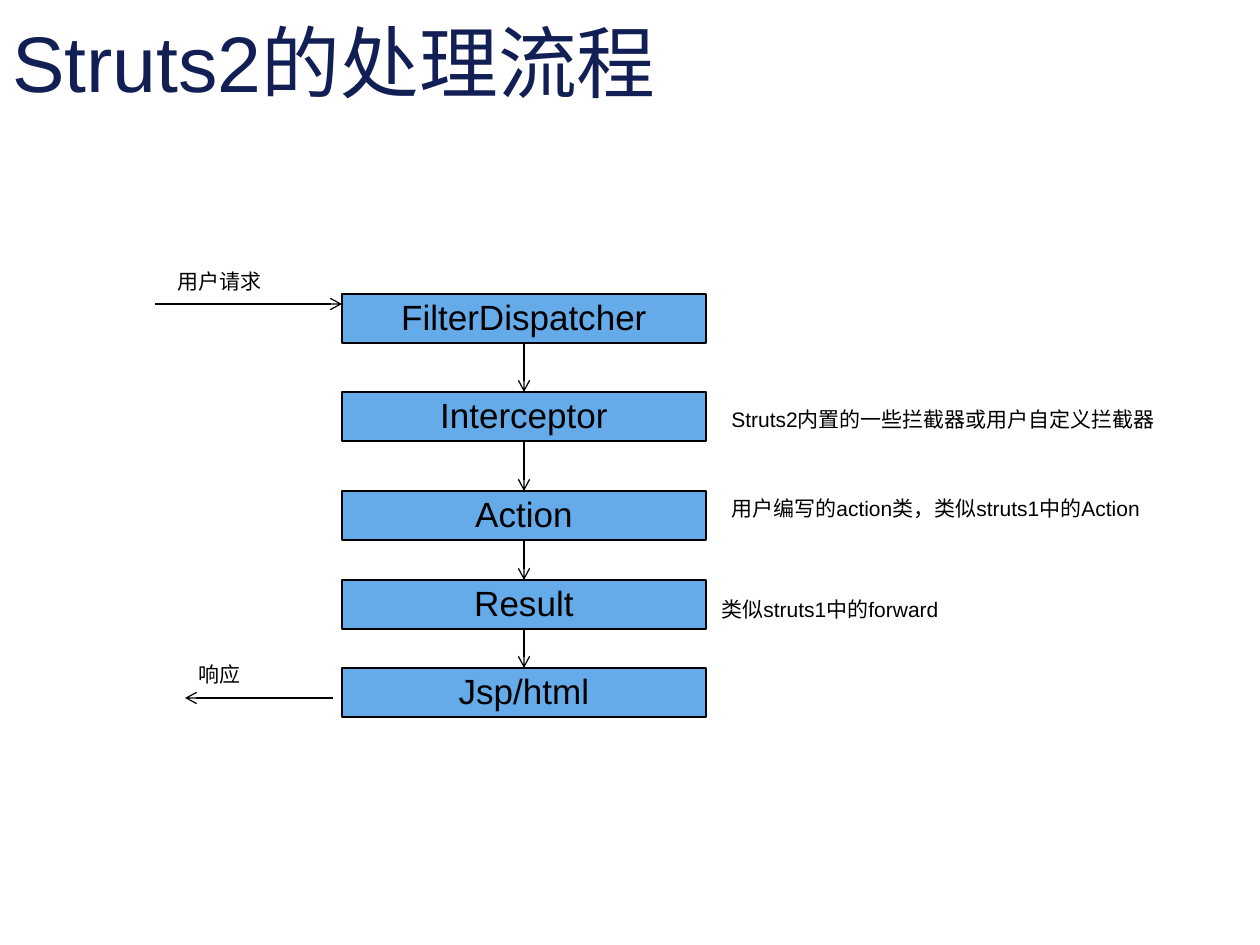
from lxml.etree import SubElement
from pptx import Presentation
from pptx.dml.color import RGBColor
from pptx.enum.shapes import MSO_CONNECTOR, MSO_SHAPE
from pptx.enum.text import MSO_ANCHOR, MSO_AUTO_SIZE, PP_ALIGN
from pptx.oxml.ns import qn
from pptx.util import Emu, Pt

PX = 914400 / 126
BLACK, NAVY, BLUE = "000000", "121F55", "65AAE9"


def px(*lengths):
    return [Emu(round(n * PX)) for n in lengths]


def write(sp, text, size, color=BLACK, align=PP_ALIGN.LEFT, anchor=MSO_ANCHOR.TOP, spacing=0.9, wrap=True):
    tf = sp.text_frame
    tf.word_wrap = wrap
    tf.vertical_anchor = anchor
    p = tf.paragraphs[0]
    p.text = text
    p.alignment = align
    p.line_spacing = spacing
    p.font.size = Pt(size)
    p.font.name = "Arial"
    p.font.color.rgb = RGBColor.from_string(color)


prs = Presentation()
prs.slide_width, prs.slide_height = px(1260, 945)
s = prs.slides.add_slide(prs.slide_layouts[6])

title = s.shapes.add_textbox(*px(0, 15, 1260, 100))
write(title, "Struts2的处理流程", 45, NAVY, anchor=MSO_ANCHOR.BOTTOM, spacing=1.0)

# Processing steps, top to bottom
steps = [("FilterDispatcher", 294), ("Interceptor", 392), ("Action", 491),
         ("Result", 580), ("Jsp/html", 668)]
boxes = []
for name, top in steps:
    sp = s.shapes.add_shape(MSO_SHAPE.RECTANGLE, *px(342, top, 364, 49))
    sp.shadow.inherit = False
    sp.fill.solid()
    sp.fill.fore_color.rgb = RGBColor.from_string(BLUE)
    sp.line.color.rgb = RGBColor.from_string(BLACK)
    sp.line.width = Pt(0.75)
    write(sp, name, 20, align=PP_ALIGN.CENTER)
    boxes.append(sp)

# Request in, response out, then the links between steps
arrows = [s.shapes.add_connector(MSO_CONNECTOR.STRAIGHT, *px(*ends))
          for ends in [(155, 304, 342, 304), (333, 698, 185, 698)]]
for upper, lower in zip(boxes, boxes[1:]):
    link = s.shapes.add_connector(MSO_CONNECTOR.STRAIGHT, 0, 0, 0, 0)
    link.begin_connect(upper, 2)
    link.end_connect(lower, 0)
    arrows.append(link)
for arrow in arrows:
    arrow.line.color.rgb = RGBColor.from_string(BLACK)
    arrow.line.width = Pt(0.75)
    SubElement(arrow.line._get_or_add_ln(), qn("a:tailEnd"), type="arrow")
    SubElement(arrow._element.spPr, qn("a:effectLst"))

captions = [
    ("用户请求", (163, 265, 114, 36), PP_ALIGN.CENTER, False),
    ("响应", (184, 658, 72, 36), PP_ALIGN.CENTER, False),
    ("Struts2内置的一些拦截器或用户自定义拦截器", (719, 403, 452, 58), PP_ALIGN.LEFT, True),
    ("用户编写的action类，类似struts1中的Action", (719, 492, 444, 58), PP_ALIGN.LEFT, True),
    ("类似struts1中的forward", (709, 593, 257, 36), PP_ALIGN.LEFT, False),
]
for text, place, align, wrap in captions:
    caption = s.shapes.add_textbox(*px(*place))
    caption.text_frame.auto_size = MSO_AUTO_SIZE.SHAPE_TO_FIT_TEXT
    write(caption, text, 12, align=align, wrap=wrap)

prs.save("out.pptx")
